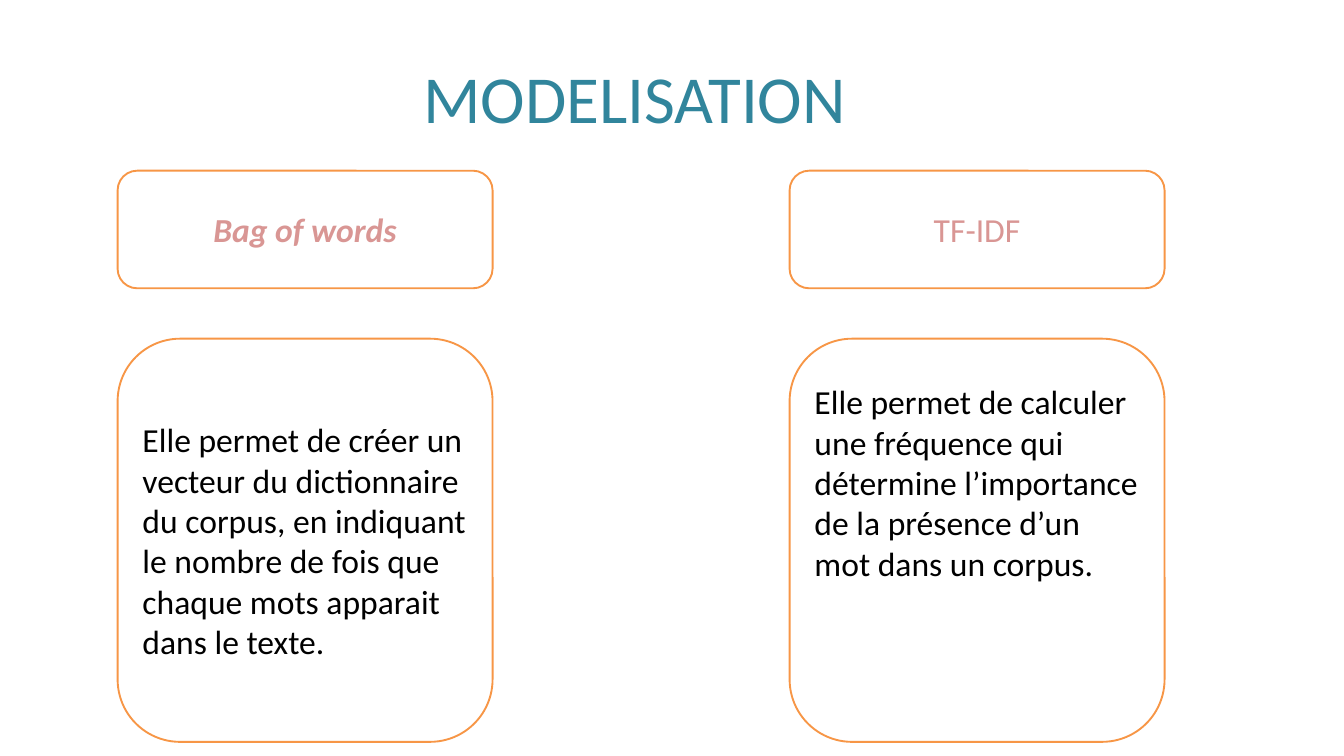
from pptx import Presentation
from pptx.dml.color import RGBColor
from pptx.enum.shapes import MSO_SHAPE
from pptx.enum.text import MSO_ANCHOR as ANCHOR, PP_ALIGN as ALIGN
from pptx.util import Inches, Pt

TEAL = RGBColor(0x31, 0x85, 0x9C)
ORANGE = RGBColor(0xF7, 0x96, 0x46)
PINK = RGBColor(0xD9, 0x96, 0x94)
BLACK = RGBColor(0, 0, 0)
WHITE = RGBColor(0xFF, 0xFF, 0xFF)

LEFT, COL_STEP, COL_W = 1.75, 10, 5.58
HEAD_TOP, HEAD_H = 2.54, 1.75
BODY_TOP, BODY_H = 5.04, 6

prs = Presentation()
prs.slide_width, prs.slide_height = Inches(20), Inches(11.25)
s = prs.slides.add_slide(prs.slide_layouts[6])


def add_text(tf, text, size, color, align):
    p = tf.paragraphs[0]
    p.alignment = align
    r = p.add_run()
    r.text = text
    r.font.name = "Calibri"
    r.font.size = Pt(size)
    r.font.color.rgb = color
    return r


def add_card(col, top, height, text, color, align):
    sp = s.shapes.add_shape(
        MSO_SHAPE.ROUNDED_RECTANGLE,
        Inches(LEFT + col * COL_STEP), Inches(top), Inches(COL_W), Inches(height))
    sp.shadow.inherit = False
    sp.fill.solid()
    sp.fill.fore_color.rgb = WHITE
    sp.line.color.rgb = ORANGE
    sp.line.width = Pt(2)
    tf = sp.text_frame
    tf.word_wrap = True
    tf.vertical_anchor = ANCHOR.MIDDLE
    return tf, add_text(tf, text, 36, color, align)


title = s.shapes.add_textbox(Inches(6.17), Inches(0.79), Inches(6.55), Inches(1.31))
title.text_frame.word_wrap = False
add_text(title.text_frame, "MODELISATION", 72, TEAL, ALIGN.CENTER)

methods = [
    ("Bag of words", True, ANCHOR.MIDDLE, 0.05,
     "Elle permet de créer un vecteur du dictionnaire du corpus, en indiquant "
     "le nombre de fois que chaque mots apparait dans le texte."),
    ("TF-IDF", False, ANCHOR.TOP, 0.36,
     "Elle permet de calculer une fréquence qui détermine l’importance "
     "de la présence d’un mot dans un corpus."),
]

for col, (name, emphasis, anchor, margin, description) in enumerate(methods):
    tf, r = add_card(col, HEAD_TOP, HEAD_H, name, PINK, ALIGN.CENTER)
    r.font.bold = r.font.italic = emphasis
    tf, r = add_card(col, BODY_TOP, BODY_H, description, BLACK, ALIGN.LEFT)
    tf.vertical_anchor = anchor
    tf.margin_top = Inches(margin)

prs.save("out.pptx")
